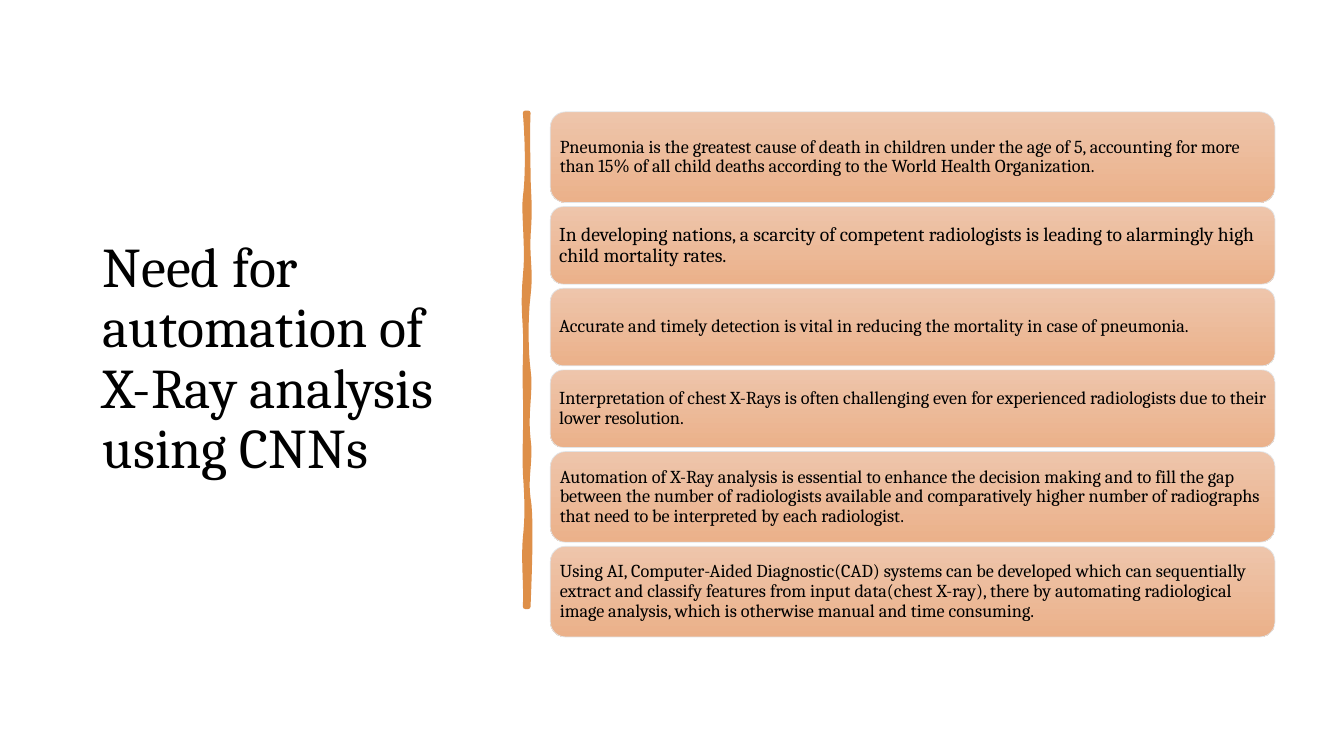
from pptx import Presentation
from pptx.dml.color import RGBColor
from pptx.enum.shapes import MSO_SHAPE
from pptx.enum.text import MSO_ANCHOR, PP_ALIGN
from pptx.util import Inches, Pt

SLIDE_WIDTH, SLIDE_HEIGHT = Inches(13.33), Inches(7.5)
FONT = "Cambria"
COLORS = {
    "background": "FFFFFF",
    "text": "000000",
    "divider": "DE8F48",
    "card_top": "EEC5AB",
    "card_bottom": "EBB18A",
    "card_line": "E2E5E8",
}

# Card heights and gap, in percent of the slide height
TALL, SHORT, GAP = 12, 10.27, 0.53
CARDS = [
    (TALL, 13, "Pneumonia is the greatest cause of death in children under the age of 5, "
     "accounting for more than 15% of all child deaths according to the World Health Organization."),
    (SHORT, 14, "In developing nations, a scarcity of competent radiologists is leading to "
     "alarmingly high child mortality rates."),
    (SHORT, 13, "Accurate and timely detection is vital in reducing the mortality in case of pneumonia."),
    (SHORT, 13, "Interpretation of chest X-Rays is often challenging even for experienced "
     "radiologists due to their lower resolution."),
    (TALL, 13, "Automation of X-Ray analysis is essential to enhance the decision making and to "
     "fill the gap between the number of radiologists available and comparatively higher number "
     "of radiographs that need to be interpreted by each radiologist."),
    (TALL, 13, "Using AI, Computer-Aided Diagnostic(CAD) systems can be developed which can "
     "sequentially extract and classify features from input data(chest X-ray), there by automating "
     "radiological image analysis, which is otherwise manual and time consuming."),
]

# Divider edges as cubic curves: x in thirds of its width, y as a share of its length
RIGHT_EDGE = [
    (3, 0), (2, 0.06), (3, 0.08), (3, 0.13), (4, 0.19), (5, 0.19), (3, 0.25),
    (2, 0.3), (6, 0.32), (3, 0.37), (0, 0.42), (1, 0.49), (3, 0.52),
    (6, 0.56), (0, 0.61), (3, 0.66), (6, 0.7), (0, 0.74), (3, 0.78),
    (6, 0.81), (5, 0.9), (3, 1),
]
LEFT_EDGE = [
    (0, 1), (1, 0.96), (-2, 0.9), (0, 0.86), (2, 0.82), (2, 0.79), (0, 0.73),
    (-1, 0.68), (1, 0.63), (0, 0.57), (-1, 0.51), (1, 0.48), (0, 0.44),
    (-1, 0.4), (-2, 0.38), (0, 0.33), (3, 0.28), (-2, 0.2), (0, 0.17),
    (2, 0.14), (3, 0.08), (0, 0),
]


def across(percent):
    return round(SLIDE_WIDTH * percent / 100)


def down(percent):
    return round(SLIDE_HEIGHT * percent / 100)


def color(name):
    return RGBColor.from_string(COLORS[name])


def write_text(shape, text, size):
    frame = shape.text_frame
    frame.word_wrap = True
    frame.vertical_anchor = MSO_ANCHOR.MIDDLE
    paragraph = frame.paragraphs[0]
    paragraph.text = text
    paragraph.alignment = PP_ALIGN.LEFT
    paragraph.line_spacing = 0.9
    paragraph.font.name = FONT
    paragraph.font.size = Pt(size)
    paragraph.font.color.rgb = color("text")


def add_title(slide, text):
    title = slide.shapes.add_textbox(across(6.9), down(8), across(28.05), down(79.2))
    write_text(title, text, 40)


def curve_points(edge, steps=8):
    points = [edge[0]]
    for first in range(0, len(edge) - 1, 3):
        corners = edge[first:first + 4]
        for step in range(1, steps + 1):
            t = step / steps
            weights = ((1 - t) ** 3, 3 * t * (1 - t) ** 2, 3 * t * t * (1 - t), t ** 3)
            points.append(tuple(sum(weight * corner[axis] for weight, corner in zip(weights, corners))
                                for axis in (0, 1)))
    return points


def add_divider(slide, left, top, width, length):
    points = [(across(left + width * x / 3), down(top + length * y))
              for x, y in curve_points(RIGHT_EDGE) + curve_points(LEFT_EDGE)]
    builder = slide.shapes.build_freeform(*points[0])
    builder.add_line_segments(points[1:], close=True)
    divider = builder.convert_to_shape()
    divider.shadow.inherit = False
    divider.fill.solid()
    divider.fill.fore_color.rgb = color("divider")
    divider.line.color.rgb = color("divider")
    divider.line.width = Pt(3.25)


def add_card(slide, top, height, size, text):
    card = slide.shapes.add_shape(MSO_SHAPE.ROUNDED_RECTANGLE,
                                  across(40.95), down(top), across(53.92), down(height))
    card.shadow.inherit = False
    card.fill.gradient()
    card.fill.gradient_angle = 270
    for stop, name in zip(card.fill.gradient_stops, ("card_top", "card_bottom")):
        stop.color.rgb = color(name)
    card.line.color.rgb = color("card_line")
    card.line.width = Pt(0.5)
    frame = card.text_frame
    frame.margin_left = frame.margin_right = frame.margin_top = frame.margin_bottom = Inches(0.05)
    write_text(card, text, size)


def main():
    presentation = Presentation()
    presentation.slide_width, presentation.slide_height = SLIDE_WIDTH, SLIDE_HEIGHT
    slide = presentation.slides.add_slide(presentation.slide_layouts[6])
    slide.background.fill.solid()
    slide.background.fill.fore_color.rgb = color("background")

    # Title and hand-drawn divider
    add_title(slide, "Need for automation of X-Ray analysis using CNNs")
    add_divider(slide, left=39.08, top=14.93, width=0.23, length=65.33)

    # Stack of reasons
    top = 14.8
    for height, size, text in CARDS:
        add_card(slide, top, height, size, text)
        top += height + GAP

    presentation.save("out.pptx")


if __name__ == "__main__":
    main()
